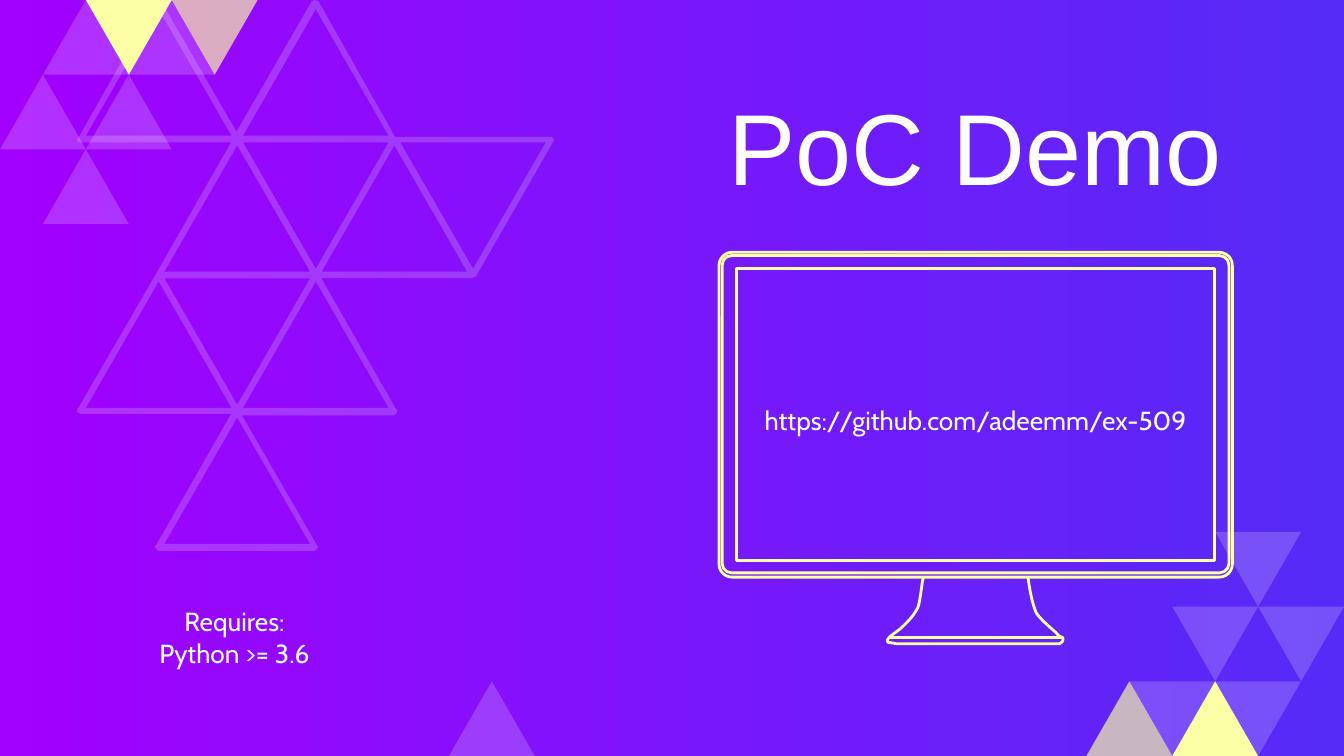
import pptx
import pptx.util
import pptx.dml.color
import pptx.enum.shapes
import pptx.enum.text
import pptx.oxml
import pptx.oxml.ns
from dataclasses import dataclass

Pt = pptx.util.Pt
Shape = pptx.enum.shapes.MSO_SHAPE
Anchor = pptx.enum.text.MSO_ANCHOR


@dataclass(frozen=True)
class Theme:
    left: str = "A200FF"
    right: str = "552BF7"
    white: str = "FFFFFF"
    lemon: str = "FCFFA5"
    faint: int = 19
    soft: int = 67
    title: int = 54
    body: int = 14
    head: str = "Arial"
    text: str = "Cabin"
    line: float = 1.5


THEME = Theme()
WIDE, TALL = 46, 40

LACE_RIM = [
    (296.6, 74.9), (296.4, 73.8), (295.2, 73.4), (211.7, 73.4), (170.6, 0.7),
    (168.5, 0), (167, 0.7), (126.7, 70.6), (86.4, 0.7), (85, 0), (83.5, 0.7),
    (41.8, 74.2), (41, 74.9), (41.8, 75.8), (43.2, 76.3), (123.8, 76.3),
    (83.5, 146.9), (41.8, 218.9), (41, 220.3), (41.8, 221.2), (43.2, 221.8),
    (123.8, 221.8), (83.5, 292.3), (82.8, 293), (83.5, 294), (85, 295.2),
    (168.5, 295.2), (169.9, 294), (170.6, 293), (169.9, 292.3),
    (129.6, 222.5), (211, 222.5), (212.4, 221.3), (213.1, 220.3),
    (212.4, 219.6), (172.1, 149), (252.7, 149), (254.2, 148.5),
    (254.9, 148.3), (296.6, 75.6),
]
LACE_UP = [(0, 0), (2, 0), (1, 1), (3, 1), (0, 2), (2, 2), (1, 3)]
LACE_DOWN = [(2, 0), (4, 0), (1, 1)]

STAND = [
    [(494.6, 309.6), (493.9, 311.8), (493.2, 321.1), (491.8, 325.4)],
    [(491.8, 325.4), (489.6, 329.8), (486.7, 332.6), (483.8, 335.5)],
    [(483.8, 335.5), (481.7, 337.7), (478.1, 339.8), (476.6, 341.3)],
    [(476.6, 341.3), (475.2, 342.7), (475.2, 343.4), (475.9, 344.2)],
    [(475.9, 344.2), (476.6, 344.2), (476.6, 344.2), (480.2, 344.9)],
    [(554.4, 344.9), (561.6, 344.9), (564.5, 344.9), (567.4, 344.9)],
    [(567.4, 344.9), (569.5, 344.2), (569.5, 342.7), (569.5, 342)],
    [(569.5, 342), (568.8, 340.6), (568.1, 342), (565.9, 339.1)],
    [(565.9, 339.1), (563.8, 337), (558, 332.6), (555.1, 328.3)],
    [(555.1, 328.3), (553, 323.3), (551.5, 315.4), (550.8, 309.6)],
]


def tint(code):
    return pptx.dml.color.RGBColor.from_string(code)


def paint(shape, code, alpha=100):
    shape.shadow.inherit = False
    shape.line.fill.background()
    shape.fill.solid()
    shape.fill.fore_color.rgb = tint(code)
    if alpha < 100:
        node = shape.fill._xPr.find(".//" + pptx.oxml.ns.qn("a:srgbClr"))
        part = pptx.oxml.parse_xml(
            f'<a:alpha {pptx.oxml.ns.nsdecls("a")} val="{alpha * 1000}"/>')
        node.append(part)


def trace(shape):
    shape.shadow.inherit = False
    shape.fill.background()
    shape.line.color.rgb = tint(THEME.lemon)
    shape.line.width = Pt(THEME.line)


def draw(slide, rings, close):
    rings = [[(Pt(x), Pt(y)) for x, y in ring] for ring in rings]
    pen = slide.shapes.build_freeform(*rings[0][0])
    pen.add_line_segments(rings[0][1:], close=close)
    for ring in rings[1:]:
        pen.move_to(*ring[0])
        pen.add_line_segments(ring[1:], close=close)
    return pen.convert_to_shape()


def add_lace(slide):
    half, high, step, rise = 39, 67.7, 42.1, 72.9
    rings = [LACE_RIM]
    for spots, top, way in ((LACE_UP, 5, 1), (LACE_DOWN, 144, -1)):
        for col, row in spots:
            x, y = 85 + col * step, top + row * rise
            base = y + way * high
            rings.append([(x, y), (x + half, base), (x - half, base)])
    paint(draw(slide, rings, True), THEME.white, THEME.faint)


def add_tile(slide, x, y, down=False, code=THEME.white, alpha=THEME.faint):
    tile = slide.shapes.add_shape(
        Shape.ISOSCELES_TRIANGLE, Pt(x), Pt(y), Pt(WIDE), Pt(TALL))
    tile.rotation = 180 if down else 0
    paint(tile, code, alpha)


def add_tiles(slide):
    half = WIDE / 2
    for col, row in ((1, 0), (3, 0), (0, 1), (2, 1), (1, 2)):
        add_tile(slide, col * half, row * TALL)
        add_tile(slide, 720 - WIDE - col * half, 405 - (row + 1) * TALL, True)
    for col, alpha in ((2, 100), (4, THEME.soft)):
        add_tile(slide, col * half, 0, True, THEME.lemon, alpha)
        add_tile(slide, 720 - WIDE - col * half, 405 - TALL, False,
                 THEME.lemon, alpha)
    add_tile(slide, 240.5, 405 - TALL)


def add_frame(slide, kind, x, y, wide, high, bend=None):
    frame = slide.shapes.add_shape(kind, Pt(x), Pt(y), Pt(wide), Pt(high))
    if bend is not None:
        frame.adjustments[0] = bend
    trace(frame)


def curve(knots, steps=8):
    def blend(t, axis):
        a, b, c, d = (knot[axis] for knot in knots)
        s = 1 - t
        return a * s**3 + 3 * b * s * s * t + 3 * c * s * t * t + d * t**3
    return [(blend(i / steps, 0), blend(i / steps, 1))
            for i in range(steps + 1)]


def add_screen(slide):
    add_frame(slide, Shape.ROUNDED_RECTANGLE, 385.2, 135.2, 275, 174, 0.04)
    add_frame(slide, Shape.ROUNDED_RECTANGLE, 386.9, 136.9, 271.5, 170, 0.03)
    add_frame(slide, Shape.RECTANGLE, 394.6, 144, 256.2, 156.3)
    points = [point for knots in STAND for point in curve(knots)]
    trace(draw(slide, [points], False))
    foot = slide.shapes.add_connector(
        pptx.enum.shapes.MSO_CONNECTOR.STRAIGHT,
        Pt(476.6), Pt(341.4), Pt(568.8), Pt(341.4))
    foot.line.color.rgb = tint(THEME.lemon)
    foot.line.width = Pt(THEME.line)
    foot._element.spPr.append(pptx.oxml.parse_xml(
        f'<a:effectLst {pptx.oxml.ns.nsdecls("a")}/>'))


def add_text(slide, lines, x, y, wide, high, size, font,
             anchor=Anchor.MIDDLE, top=7.2):
    box = slide.shapes.add_textbox(Pt(x), Pt(y), Pt(wide), Pt(high))
    frame = box.text_frame
    frame.word_wrap = True
    frame.vertical_anchor = anchor
    frame.margin_left = frame.margin_right = frame.margin_bottom = Pt(7.2)
    frame.margin_top = Pt(top)
    frame.text = "\n".join(lines)
    for para in frame.paragraphs:
        para.alignment = pptx.enum.text.PP_ALIGN.CENTER
        para.font.size = Pt(size)
        para.font.name = font
        para.font.color.rgb = tint(THEME.white)


def set_back(slide):
    fill = slide.background.fill
    fill.gradient()
    fill.gradient_angle = 0
    for stop, code in zip(fill.gradient_stops, (THEME.left, THEME.right)):
        stop.color.rgb = tint(code)


def main():
    deck = pptx.Presentation()
    deck.slide_width, deck.slide_height = Pt(720), Pt(405)
    slide = deck.slides.add_slide(deck.slide_layouts[6])
    set_back(slide)
    add_lace(slide)
    add_tiles(slide)
    add_text(slide, ["PoC Demo"], 378, 32.4, 288.7, 73.4,
             THEME.title, THEME.head, Anchor.TOP, 13)
    add_text(slide, ["Requires:", "Python >= 3.6"], 43.2, 290.2, 164.9, 102.2,
             THEME.body, THEME.text)
    add_screen(slide)
    add_text(slide, ["https://github.com/adeemm/ex-509"],
             401, 174.2, 243.4, 102.2, THEME.body, THEME.text)
    deck.save("out.pptx")


if __name__ == "__main__":
    main()
